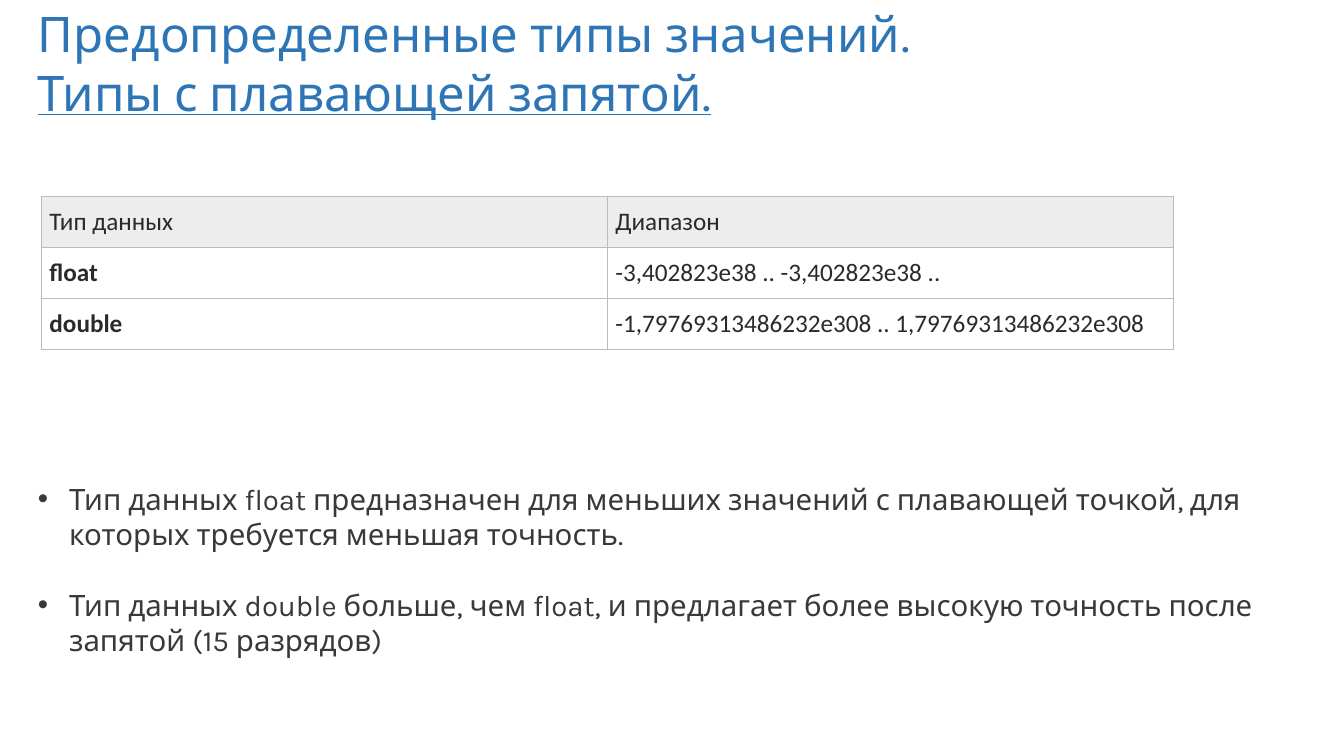
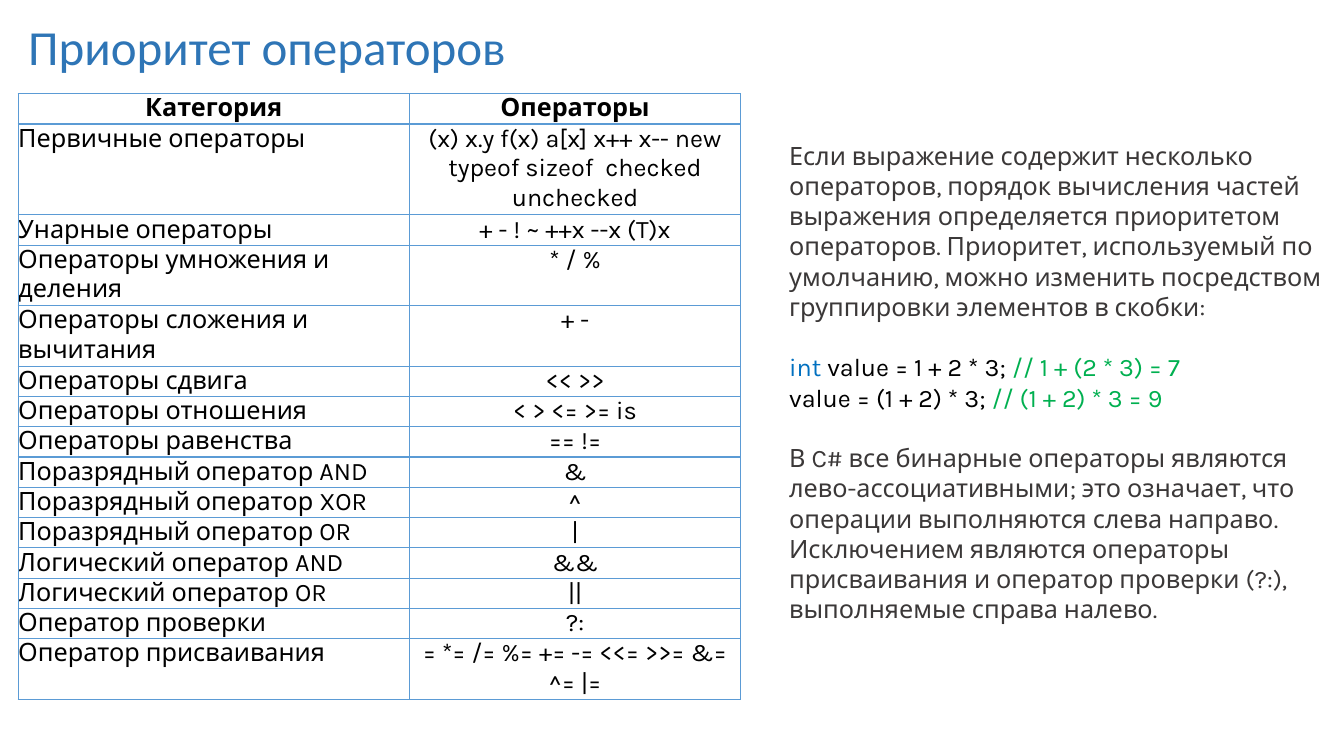
from lxml import etree
from pptx import Presentation
from pptx.dml.color import RGBColor
from pptx.enum.text import MSO_ANCHOR, MSO_AUTO_SIZE, PP_ALIGN
from pptx.oxml.ns import qn
from pptx.util import Inches, Pt

LEFT, CENTER = PP_ALIGN.LEFT, PP_ALIGN.CENTER
TOP, MIDDLE = MSO_ANCHOR.TOP, MSO_ANCHOR.MIDDLE
GROW = MSO_AUTO_SIZE.SHAPE_TO_FIT_TEXT

BLUE = RGBColor(0x2E, 0x75, 0xB6)
DARK = RGBColor(0x3B, 0x38, 0x38)
INK = RGBColor(0x2A, 0x2A, 0x2A)
BLACK = RGBColor(0, 0, 0)
WORD = RGBColor(0, 0x70, 0xC0)
GREEN = RGBColor(0, 0xB0, 0x50)
PALE = RGBColor(0xED, 0xED, 0xED)
GRAY = RGBColor(0xBB, 0xBB, 0xBB)
SKY = RGBColor(0x5B, 0x9B, 0xD5)

TALL = Inches(7.5)
WIDE = TALL * 16 // 9
UNIT = WIDE / 48
KARLA, PLAIN = "Karla", "Calibri"
HEAD, BODY, CELL = 35, 21, 18
LEAD = 1.2

TYPES = [
    ("Тип данных", "Диапазон"),
    ("float", "-3,402823e38 .. -3,402823e38 .."),
    ("double", "-1,79769313486232e308 .. 1,79769313486232e308"),
]
NOTES = [
    "Тип данных float предназначен для меньших значений с плавающей точкой, "
    "для которых требуется меньшая точность.",
    "Тип данных double больше, чем float, и предлагает более высокую точность "
    "после запятой (15 разрядов)",
]
RANKS = [
    ("Категория", "Операторы"),
    ("Первичные операторы",
     "(x) x.y f(x) a[x] x++ x-- new typeof sizeof  checked unchecked"),
    ("Унарные операторы", "+ - ! ~ ++x --x (T)x"),
    ("Операторы умножения и деления", "* / %"),
    ("Операторы сложения и вычитания", "+ -"),
    ("Операторы сдвига", "<< >>"),
    ("Операторы отношения", "< > <= >= is"),
    ("Операторы равенства", "== !="),
    ("Поразрядный оператор AND", "&"),
    ("Поразрядный оператор XOR", "^"),
    ("Поразрядный оператор OR", "|"),
    ("Логический оператор AND", "&&"),
    ("Логический оператор OR", "||"),
    ("Оператор проверки", "?:"),
    ("Оператор присваивания", "= *= /= %= += -= <<= >>= &= ^= |="),
]
ORDER = (
    "Если выражение содержит несколько операторов, порядок вычисления частей "
    "выражения определяется приоритетом операторов. Приоритет, используемый по "
    "умолчанию, можно изменить посредством группировки элементов в скобки:"
)
CODE = [
    [("int ", WORD), ("value = 1 + 2 * 3; ", BLACK), ("// 1 + (2 * 3) = 7", GREEN)],
    [("value = (1 + 2) * 3; ", BLACK), ("// (1 + 2) * 3 = 9", GREEN)],
]
SIDES = (
    "В C# все бинарные операторы являются лево-ассоциативными; это означает, "
    "что операции выполняются слева направо. Исключением являются операторы "
    "присваивания и оператор проверки (?:), выполняемые справа налево."
)


def grid(*units):
    return [round(n * UNIT) for n in units]


def style(run, size, color, face, bold=False):
    font = run.font
    font.size, font.name, font.bold = Pt(size), face, bold
    font.color.rgb = color


def add_box(slide, spot, paras, size, face=KARLA, wrap=True):
    frame = slide.shapes.add_textbox(*grid(*spot)).text_frame
    frame.word_wrap, frame.auto_size = wrap, GROW
    for i, parts in enumerate(paras):
        para = frame.add_paragraph() if i else frame.paragraphs[0]
        for text, color in parts:
            run = para.add_run()
            run.text = text
            style(run, size, color, face)
    return frame.paragraphs


def add_title(slide, spot, lines, face, wrap=True):
    paras = [[(line, BLUE)] for line in lines]
    return add_box(slide, spot, paras, HEAD, face, wrap)


def skip(para, size):
    para.space_before = Pt(size * LEAD)


def add_dot(para):
    props = para._p.get_or_add_pPr()
    props.set("marL", str(Inches(0.31)))
    props.set("indent", str(-Inches(0.31)))
    etree.SubElement(props, qn("a:buFont")).set("typeface", "Arial")
    etree.SubElement(props, qn("a:buChar")).set("char", "•")


def add_edge(cell, color, width):
    props = cell._tc.get_or_add_tcPr()
    for side in ("lnL", "lnR", "lnT", "lnB"):
        line = etree.SubElement(props, qn("a:" + side))
        line.set("w", str(Pt(width)))
        fill = etree.SubElement(line, qn("a:solidFill"))
        etree.SubElement(fill, qn("a:srgbClr")).set("val", str(color))


def add_grid(slide, x, y, cols, row, data, edge, width):
    spot = grid(x, y, sum(cols), row * len(data))
    table = slide.shapes.add_table(len(data), len(cols), *spot).table
    table.first_row = table.horz_banding = False
    for col, size in zip(table.columns, grid(*cols)):
        col.width = size
    for i, texts in enumerate(data):
        for j, text in enumerate(texts):
            cell = table.cell(i, j)
            add_edge(cell, edge, width)
            cell.fill.background()
            cell.text_frame.text = text
    return table


def format_cell(cell, pad, color, face, bold, align=LEFT, anchor=TOP):
    cell.margin_left = cell.margin_right = Inches(pad[0])
    cell.margin_top = cell.margin_bottom = Inches(pad[1])
    cell.vertical_anchor = anchor
    para = cell.text_frame.paragraphs[0]
    para.alignment = align
    style(para.runs[0], CELL, color, face, bold)


def draw_types(slide):
    lines = ["Предопределенные типы значений.", "Типы с плавающей запятой."]
    title = add_title(slide, (1, -0.04, 37, 4.6), lines, KARLA)
    title[1].runs[0].font.underline = True

    table = add_grid(slide, 1.48, 7, (20.21, 20.21), 1.83, TYPES, GRAY, 0.75)
    for i in range(len(TYPES)):
        for j in range(2):
            cell = table.cell(i, j)
            format_cell(cell, (0.08, 0.1), INK, PLAIN, i > 0 and j == 0,
                        anchor=TOP if i else MIDDLE)
            if i == 0:
                cell.fill.solid()
                cell.fill.fore_color.rgb = PALE

    notes = add_box(slide, (1, 17, 45.25, 6.73), [[(n, DARK)] for n in NOTES], BODY)
    skip(notes[1], BODY)
    for para in notes:
        add_dot(para)


def draw_ranks(slide):
    add_title(slide, (0.65, 0.43, 17.86, 2.5), ["Приоритет операторов"], PLAIN, False)

    paras = [[(ORDER, DARK)], *CODE, [(SIDES, DARK)]]
    text = add_box(slide, (27.83, 4.82, 20.2, 18.9), paras, CELL)
    for i in (1, 3):
        skip(text[i], CELL)

    table = add_grid(slide, 0.65, 3.35, (13.97, 11.84), 1.08, RANKS, SKY, 1)
    for i in range(len(RANKS)):
        for j in range(2):
            format_cell(table.cell(i, j), (0, 0), BLACK, KARLA, i == 0,
                        LEFT if i and j == 0 else CENTER)


def main():
    deck = Presentation()
    deck.slide_width, deck.slide_height = WIDE, TALL
    for draw in (draw_types, draw_ranks):
        draw(deck.slides.add_slide(deck.slide_layouts[6]))
    deck.save("out.pptx")


if __name__ == "__main__":
    main()
